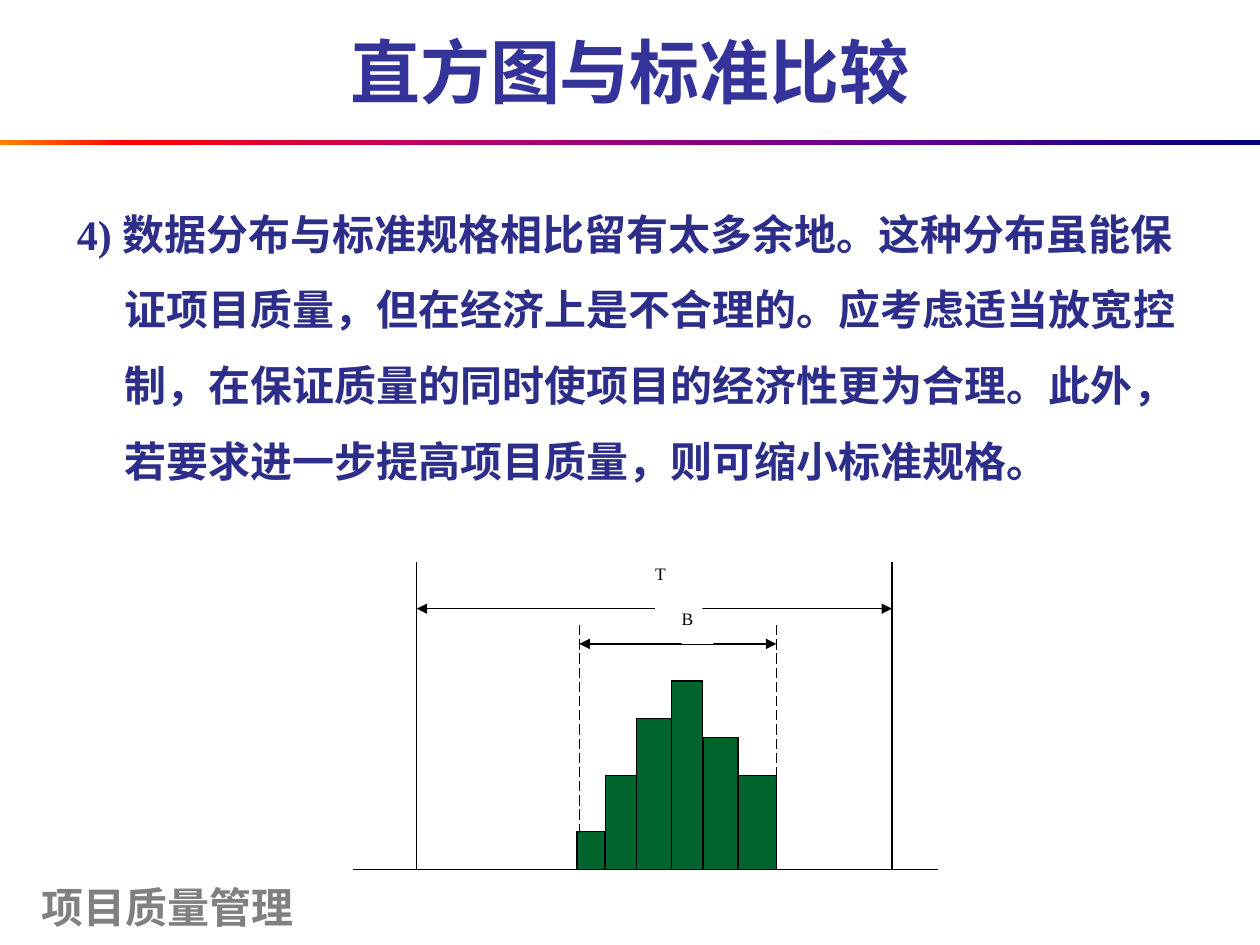
"""Build the slide comparing a histogram with its specification limits."""
from lxml.etree import SubElement
from pptx import Presentation
from pptx.dml.color import RGBColor
from pptx.enum.dml import MSO_LINE_DASH_STYLE as DASH
from pptx.enum.shapes import MSO_CONNECTOR as CONN, MSO_SHAPE as SHAPE
from pptx.enum.text import MSO_ANCHOR as ANCHOR, PP_ALIGN as ALIGN
from pptx.oxml.ns import qn
from pptx.util import Cm, Pt

COLORS = {"title": "333399", "body": "2D2D8A", "footer": "808080",
          "bar": "00642D", "line": "000000", "paper": "FFFFFF"}
RULE = [(0, "FF8200"), (10, "FF0000"), (35, "BA0066"), (70, "66008F"), (100, "000082")]


def add_text(s, text, box, size, color, font="Arial", bold=True, align=ALIGN.LEFT,
             anchor=ANCHOR.TOP, margins=(0.25, 0.13), spacing=None, hang=0, fill=None):
    sp = s.shapes.add_textbox(*map(Cm, box))
    if fill:
        sp.fill.solid()
        sp.fill.fore_color.rgb = RGBColor.from_string(COLORS[fill])
    tf = sp.text_frame
    tf.word_wrap = True
    tf.vertical_anchor = anchor
    tf.margin_left = tf.margin_right = Cm(margins[0])
    tf.margin_top = tf.margin_bottom = Cm(margins[1])
    p = tf.paragraphs[0]
    p.alignment = align
    if spacing:
        p.line_spacing = spacing
    if hang:
        pPr = p._p.get_or_add_pPr()
        pPr.set("marL", str(Cm(hang)))
        pPr.set("indent", str(-Cm(hang)))
    r = p.add_run()
    r.text = text
    r.font.name, r.font.size, r.font.bold = font, Pt(size), bold
    r.font.color.rgb = RGBColor.from_string(COLORS[color])


def add_line(s, x1, y1, x2, y2, dashed=False, arrows=False):
    c = s.shapes.add_connector(CONN.STRAIGHT, Cm(x1), Cm(y1), Cm(x2), Cm(y2))
    c.line.width = Pt(0.75)
    c.line.color.rgb = RGBColor.from_string(COLORS["line"])
    if dashed:
        c.line.dash_style = DASH.LONG_DASH
    if arrows:
        for end in ("a:headEnd", "a:tailEnd"):
            SubElement(c.line._get_or_add_ln(), qn(end), type="triangle")
    SubElement(c._element.spPr, qn("a:effectLst"))


prs = Presentation()
prs.slide_width, prs.slide_height = Cm(25.4), Cm(19.05)
s = prs.slides.add_slide(prs.slide_layouts[6])

add_text(s, "项目质量管理", (0.58, 17.65, 6.35, 1.27), 24, "footer", anchor=ANCHOR.MIDDLE)

rule = s.shapes.add_shape(SHAPE.RECTANGLE, Cm(0), Cm(2.82), Cm(25.4), Cm(0.1))
rule.shadow.inherit = False
rule.line.fill.background()
rule.fill.gradient()
rule.fill.gradient_angle = 0
stops = rule._element.spPr.find(qn("a:gradFill")).find(qn("a:gsLst"))
for old in list(stops):
    stops.remove(old)
for pos, color in RULE:
    gs = SubElement(stops, qn("a:gs"), pos=str(pos * 1000))
    SubElement(gs, qn("a:srgbClr"), val=color)

add_text(s, "直方图与标准比较", (1.3, 0.13, 22.8, 2.6), 40, "title",
         align=ALIGN.CENTER, anchor=ANCHOR.MIDDLE)
add_text(s, "4) 数据分布与标准规格相比留有太多余地。这种分布虽能保证项目质量，但在经济上是不合理的。"
            "应考虑适当放宽控制，在保证质量的同时使项目的经济性更为合理。此外，"
            "若要求进一步提高项目质量，则可缩小标准规格。",
         (1.3, 3.56, 22.86, 12.57), 24, "body", font="Times New Roman", spacing=1.5, hang=0.97)

base, unit = 17.53, 0.38
edges = [11.63, 12.2, 12.83, 13.54, 14.17, 14.88, 15.65]
counts = [2, 5, 8, 10, 7, 5]
for left, right, count in zip(edges, edges[1:], counts):
    height = count * unit
    bar = s.shapes.add_shape(SHAPE.RECTANGLE, Cm(left), Cm(base - height),
                             Cm(right - left), Cm(height))
    bar.shadow.inherit = False
    bar.fill.solid()
    bar.fill.fore_color.rgb = RGBColor.from_string(COLORS["bar"])
    bar.line.color.rgb = RGBColor.from_string(COLORS["line"])
    bar.line.width = Pt(0.75)

add_line(s, 7.11, base, 18.9, base)
for x in (8.4, 17.98):
    add_line(s, x, 11.33, x, base)
for x, bottom in ((11.68, 16.79), (15.65, 15.62)):
    add_line(s, x, 12.6, x, bottom, dashed=True)

spans = [("B", 11.68, 15.65, 12.98, (13.74, 12.22, 0.64, 0.76)),
         ("T", 8.4, 17.98, 12.27, (13.21, 11.33, 0.95, 0.95))]
for label, left, right, y, box in spans:
    add_line(s, left, y, right, y, arrows=True)
    add_text(s, label, box, 10, "line", font="Times New Roman", bold=False,
             align=ALIGN.JUSTIFY, margins=(0, 0.03), fill="paper")

prs.save("out.pptx")
